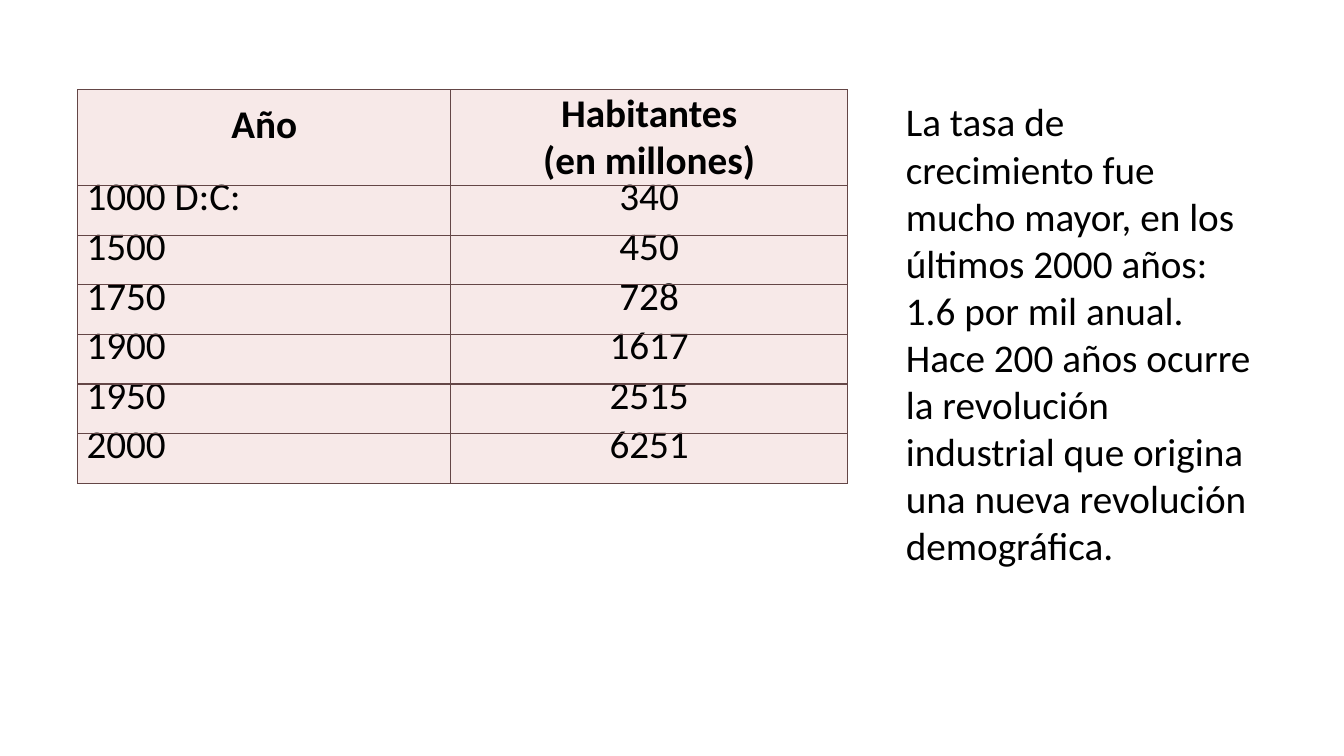
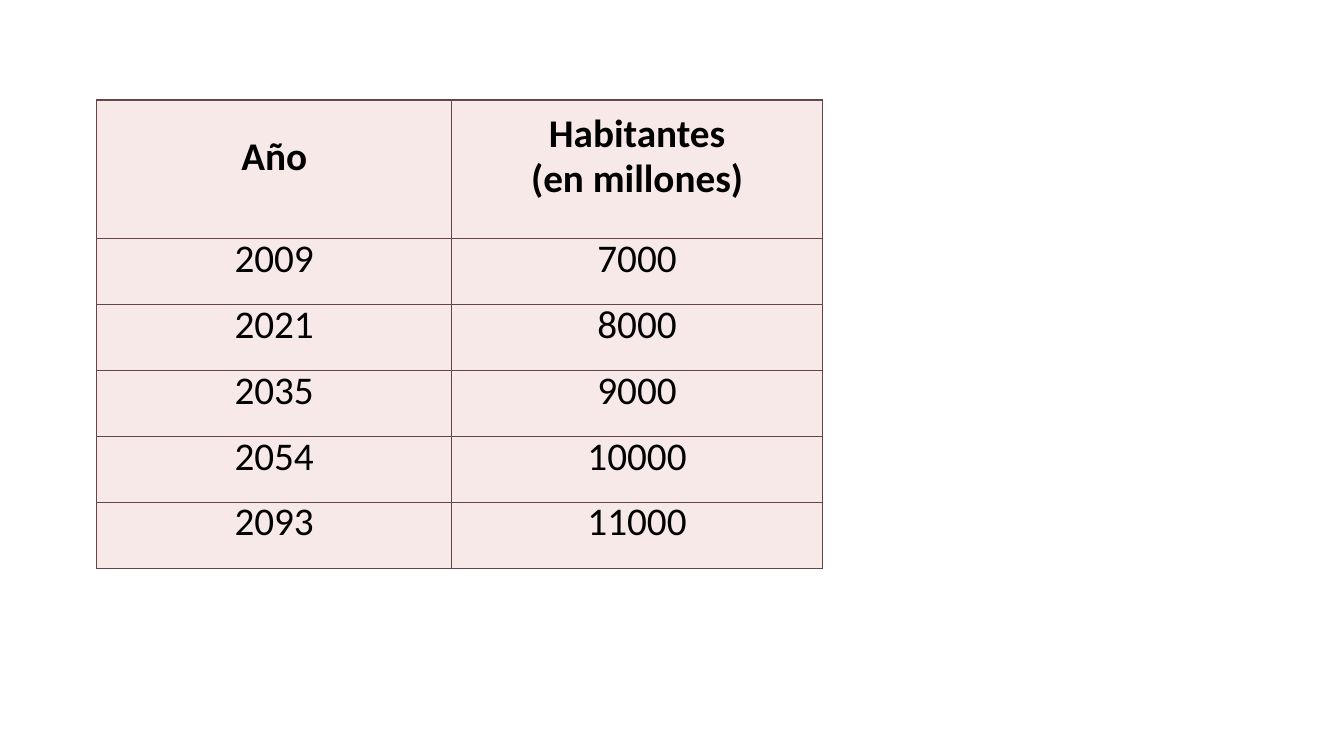
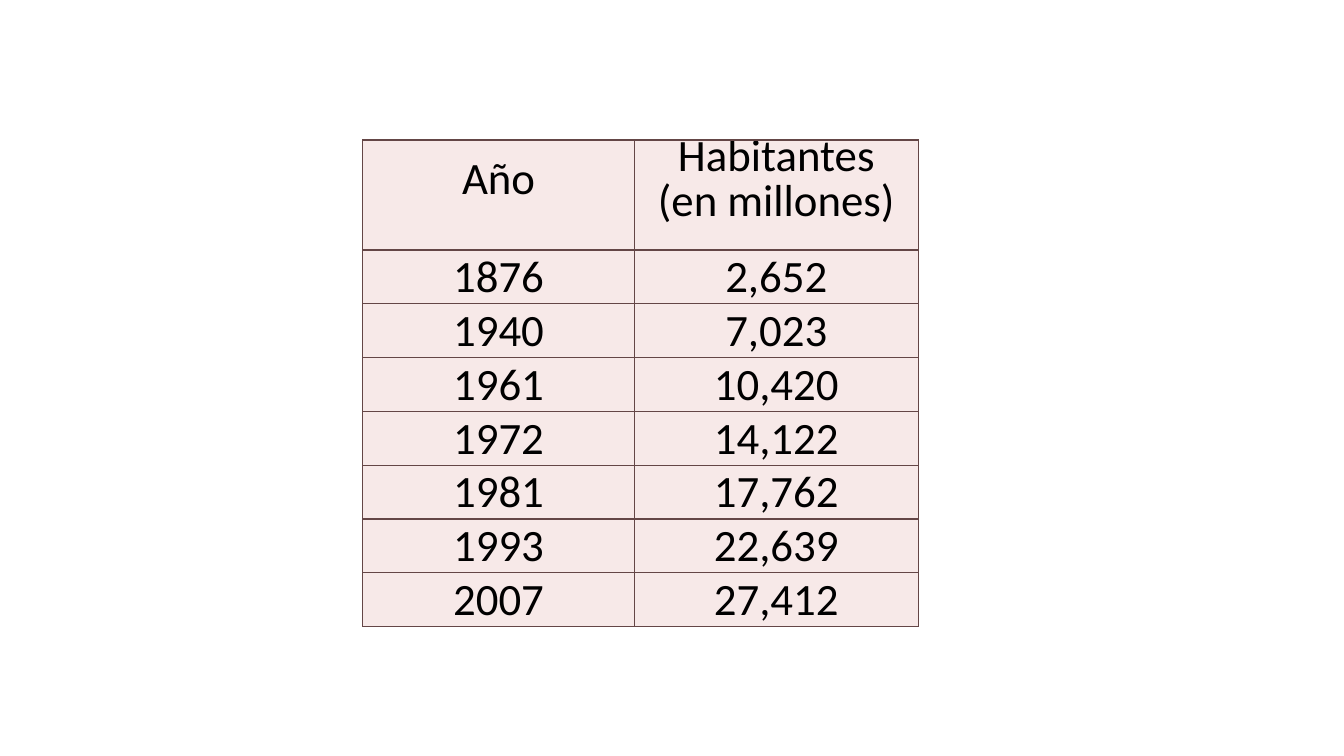
"""Builds three slides with population tables."""
from lxml import etree
from pptx import Presentation
from pptx import util as u
from pptx.dml.color import RGBColor
from pptx.enum import text
from pptx.oxml.ns import qn

COLORS = {"text": "000000", "cell": "F7E9E8", "border": "644646"}
FONT = "Calibri"
TIGHT = u.Pt(16)
CENTER, LEFT = text.PP_ALIGN.CENTER, text.PP_ALIGN.LEFT
YEAR, PEOPLE = ["Año"], ["Habitantes", "(en millones)"]


def color(name):
    return RGBColor.from_string(COLORS[name])


def write(frame, lines, size, bold=False, align=LEFT, spacing=None, gap=None):
    frame.word_wrap = True
    for index, line in enumerate(lines):
        para = frame.paragraphs[0] if index == 0 else frame.add_paragraph()
        para.text = line
        para.alignment = align
        para.line_spacing = spacing
        if index < len(lines) - 1:
            para.space_after = gap
        para.font.name = FONT
        para.font.size = u.Pt(size)
        para.font.bold = bold
        para.font.color.rgb = color("text")


def style_cell(cell, margin):
    cell.margin_left = cell.margin_right = u.Cm(margin)
    cell.margin_top = cell.margin_bottom = 0
    cell.vertical_anchor = text.MSO_ANCHOR.MIDDLE
    properties = cell._tc.get_or_add_tcPr()
    for side in ("a:lnL", "a:lnR", "a:lnT", "a:lnB"):
        line = etree.SubElement(properties, qn(side), w=str(u.Pt(1)))
        fill = etree.SubElement(line, qn("a:solidFill"))
        etree.SubElement(fill, qn("a:srgbClr"), val=COLORS["border"])
    cell.fill.solid()
    cell.fill.fore_color.rgb = color("cell")


def add_population(page, left, top, widths, head_height, row_height, data, size=28,
                   bold_head=True, margin=0.13, year_align=CENTER, year_margin=0.13,
                   people_spacing=TIGHT, people_gap=TIGHT, row_spacing=TIGHT):
    heights = [head_height] + [row_height] * len(data)
    table = page.shapes.add_table(len(heights), 2, u.Cm(left), u.Cm(top),
                                  u.Cm(sum(widths)), u.Cm(sum(heights))).table
    table.first_row = table.horz_banding = False
    for column, width in zip(table.columns, widths):
        column.width = u.Cm(width)
    for row, height in zip(table.rows, heights):
        row.height = u.Cm(height)

    year_head, people_head = table.rows[0].cells
    for cell in (year_head, people_head):
        style_cell(cell, margin)
    write(year_head.text_frame, YEAR, size, bold_head, CENTER, TIGHT)
    write(people_head.text_frame, PEOPLE, size, bold_head, CENTER, people_spacing, people_gap)

    for index, (year, people) in enumerate(data, 1):
        year_cell, people_cell = table.rows[index].cells
        style_cell(year_cell, year_margin)
        style_cell(people_cell, margin)
        write(year_cell.text_frame, [year], size, align=year_align, spacing=row_spacing)
        write(people_cell.text_frame, [people], size, align=CENTER, spacing=row_spacing)


def add_note(page, left, top, width, height, words):
    box = page.shapes.add_textbox(u.Cm(left), u.Cm(top), u.Cm(width), u.Cm(height))
    write(box.text_frame, [words], 28)


def main():
    deck = Presentation()
    deck.slide_width, deck.slide_height = u.Cm(33.87), u.Cm(19.05)
    history, forecast, census = [deck.slides.add_slide(deck.slide_layouts[6]) for _ in range(3)]

    add_population(
        history, 1.96, 2.26, (9.4, 10), 2, 1.25,
        [("1000 D:C:", "340"), ("1500", "450"), ("1750", "728"),
         ("1900", "1617"), ("1950", "2515"), ("2000", "6251")],
        margin=0, year_align=LEFT, year_margin=0.22, people_spacing=None, people_gap=None)
    add_note(
        history, 22.58, 2.34, 9.4, 12.22,
        "La tasa de crecimiento fue mucho mayor, en los últimos 2000 años: 1.6 por mil anual. "
        "Hace 200 años ocurre la revolución industrial que origina una nueva revolución "
        "demográfica.")
    add_population(
        forecast, 2.44, 2.52, (8.94, 9.35), 3.5, 1.66,
        [("2009", "7000"), ("2021", "8000"), ("2035", "9000"),
         ("2054", "10000"), ("2093", "11000")])
    add_population(
        census, 9.14, 3.53, (6.85, 7.15), 2.77, 1.35,
        [("1876", "2,652"), ("1940", "7,023"), ("1961", "10,420"), ("1972", "14,122"),
         ("1981", "17,762"), ("1993", "22,639"), ("2007", "27,412")],
        size=32, bold_head=False, row_spacing=None)
    deck.save("out.pptx")


if __name__ == "__main__":
    main()
